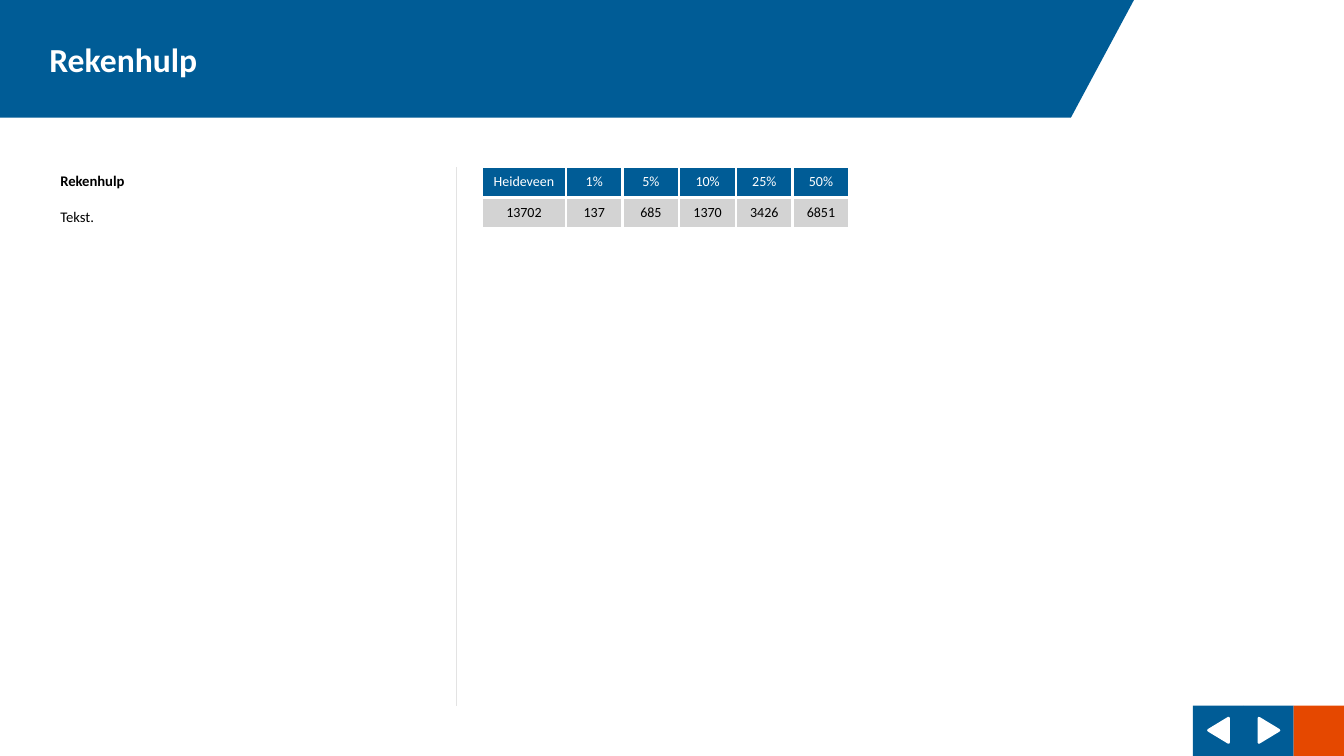
from dataclasses import dataclass

import pptx
import pptx.dml.color
import pptx.enum.shapes
import pptx.enum.text
import pptx.oxml
import pptx.oxml.ns
import pptx.util

RGB = pptx.dml.color.RGBColor
KIND = pptx.enum.shapes.MSO_SHAPE
ALIGN = pptx.enum.text.PP_ALIGN
MIDDLE = pptx.enum.text.MSO_ANCHOR.MIDDLE

WHITE = RGB(0xFF, 0xFF, 0xFF)
BLACK = RGB(0, 0, 0)
BLUE = RGB(0x00, 0x5C, 0x96)
ORANGE = RGB(0xE5, 0x48, 0x00)
GREY = RGB(0xD3, 0xD3, 0xD3)
RULE = RGB(0xE3, 0xE3, 0xE3)

FONT = "Calibri"
SCALE = 9525
WIDE, HIGH = 1280, 720
TILE = 48
HEAD = 112
SLANT = 1020
TOP = 159
CELLS = (
    ("Heideveen", "1%", "5%", "10%", "25%", "50%"),
    ("13702", "137", "685", "1370", "3426", "6851"),
)
WIDTHS = (80, 54, 54, 54, 54, 54)
ROW = 29


@dataclass(frozen=True)
class Box:
    left: int
    top: int
    width: int
    height: int

    def emu(self) -> list[int]:
        return [px(n) for n in (self.left, self.top, self.width, self.height)]


@dataclass(frozen=True)
class Button:
    fill: RGB
    turn: int | None = None


BUTTONS = (Button(BLUE, 270), Button(BLUE, 90), Button(ORANGE))


def px(count: int) -> int:
    return pptx.util.Emu(count * SCALE)


def node(xml: str):
    return pptx.oxml.parse_xml(xml.replace(">", f" {pptx.oxml.ns.nsdecls('a')}>", 1))


def style(para, size: float, color: RGB, bold: bool = False) -> None:
    para.font.name = FONT
    para.font.size = pptx.util.Pt(size)
    para.font.color.rgb = color
    para.font.bold = bold


def draw(slide, kind, box: Box, fill: RGB, turn: int = 0):
    shape = slide.shapes.add_shape(kind, *box.emu())
    shape.shadow.inherit = False
    shape.fill.solid()
    shape.fill.fore_color.rgb = fill
    shape.line.fill.background()
    shape.rotation = turn
    return shape


def add_buttons(slide) -> None:
    start = WIDE - len(BUTTONS) * TILE
    top = HIGH - TILE
    for index, button in enumerate(BUTTONS):
        left = start + index * TILE
        draw(slide, KIND.RECTANGLE, Box(left, top, TILE, TILE), button.fill)
        if button.turn is not None:
            box = Box(left + 13, top + 14, 23, 19)
            arrow = draw(slide, KIND.ISOSCELES_TRIANGLE, box, WHITE, button.turn)
            arrow.line.color.rgb = WHITE
            arrow.line.width = pptx.util.Pt(2)
            arrow.line._get_or_add_ln().append(node("<a:round></a:round>"))


def add_header(slide) -> None:
    slant = draw(slide, KIND.RIGHT_TRIANGLE, Box(SLANT, 0, 60, HEAD), BLUE, 180)
    slant.element.spPr.find(pptx.oxml.ns.qn("a:xfrm")).set("flipH", "1")
    header = draw(slide, KIND.RECTANGLE, Box(0, 0, SLANT, HEAD), BLUE)
    frame = header.text_frame
    frame.margin_left = px(47)
    frame.vertical_anchor = MIDDLE
    frame.text = "Rekenhulp"
    para = frame.paragraphs[0]
    para.alignment = ALIGN.LEFT
    style(para, 24, WHITE, True)


def add_notes(slide) -> None:
    frame = slide.shapes.add_textbox(*Box(48, TOP, 363, 60).emu()).text_frame
    frame.word_wrap = True
    frame.text = "Rekenhulp\nTekst."
    title, body = frame.paragraphs
    style(title, 10.5, BLACK, True)
    style(body, 10.5, BLACK)
    body.space_before = pptx.util.Pt(12.8)


def add_rule(slide) -> None:
    straight = pptx.enum.shapes.MSO_CONNECTOR.STRAIGHT
    ends = [px(n) for n in (435, HIGH - TILE, 435, TOP)]
    rule = slide.shapes.add_connector(straight, *ends)
    rule.line.color.rgb = RULE
    rule.line.width = pptx.util.Pt(1)
    rule.element.spPr.append(node("<a:effectLst></a:effectLst>"))


def fill_cell(cell, text: str, fill: RGB, color: RGB) -> None:
    cell.text = text
    cell.vertical_anchor = MIDDLE
    cell.margin_left = cell.margin_right = 0
    cell.margin_top = cell.margin_bottom = 0
    para = cell.text_frame.paragraphs[0]
    para.alignment = ALIGN.CENTER
    style(para, 10, color)
    cell.fill.solid()
    cell.fill.fore_color.rgb = fill
    props = cell._tc.get_or_add_tcPr()
    for index, side in enumerate("LRTB"):
        edge = node(
            f'<a:ln{side} w="{pptx.util.Pt(2)}"><a:solidFill>'
            f'<a:srgbClr val="{WHITE}"/></a:solidFill></a:ln{side}>'
        )
        props.insert(index, edge)


def add_grid(slide) -> None:
    box = Box(459, TOP, sum(WIDTHS), ROW * len(CELLS))
    table = slide.shapes.add_table(len(CELLS), len(WIDTHS), *box.emu()).table
    table.first_row = table.horz_banding = False
    for column, width in zip(table.columns, WIDTHS):
        column.width = px(width)
    looks = ((BLUE, WHITE), (GREY, BLACK))
    for row, texts, (fill, color) in zip(table.rows, CELLS, looks):
        row.height = px(ROW)
        for cell, text in zip(row.cells, texts):
            fill_cell(cell, text, fill, color)


def main() -> None:
    deck = pptx.Presentation()
    deck.slide_width, deck.slide_height = px(WIDE), px(HIGH)
    slide = deck.slides.add_slide(deck.slide_layouts[6])
    add_buttons(slide)
    add_header(slide)
    add_notes(slide)
    add_rule(slide)
    add_grid(slide)
    deck.save("out.pptx")


if __name__ == "__main__":
    main()
